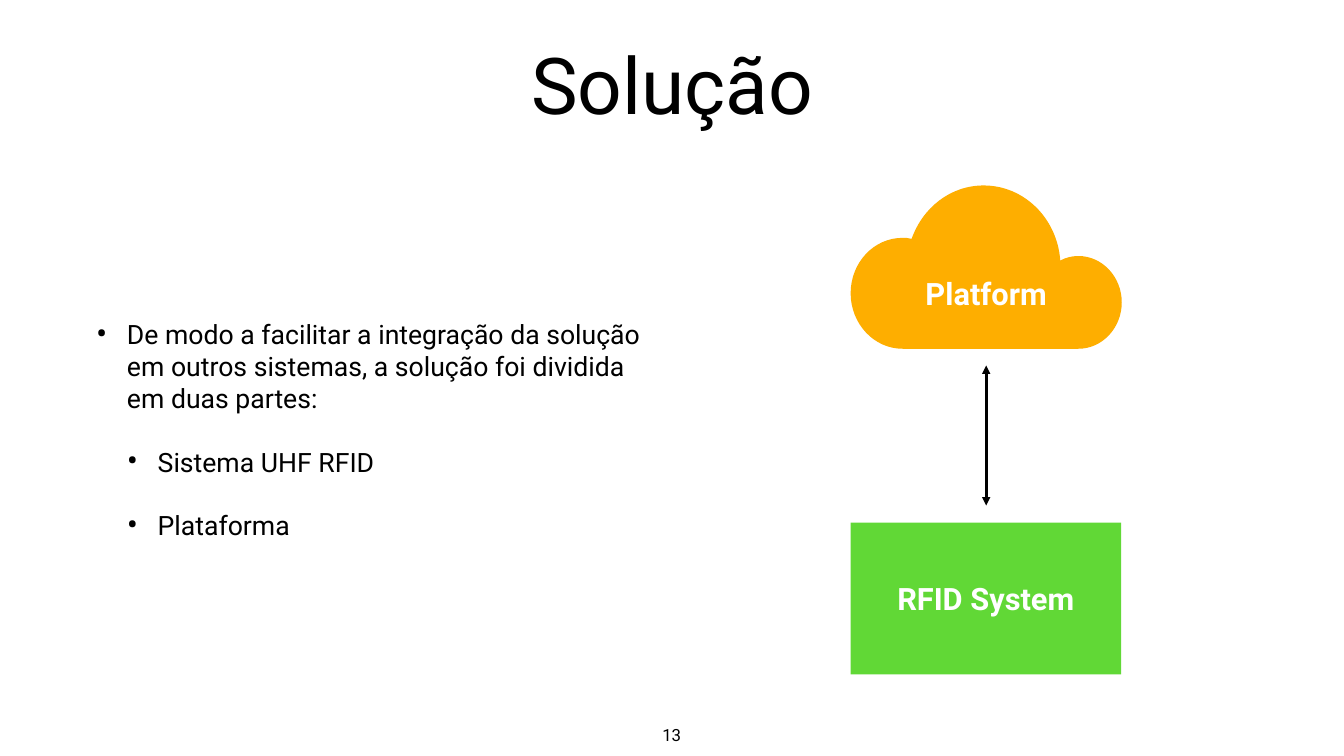
"""Build the "Solução" slide: a bullet list beside a platform and RFID system diagram."""
from lxml.etree import SubElement
from pptx import Presentation
from pptx.dml.color import RGBColor
from pptx.enum.shapes import MSO_CONNECTOR as CONN, MSO_SHAPE as SHAPE
from pptx.enum.text import MSO_ANCHOR as ANCHOR, MSO_AUTO_SIZE as AUTO, PP_ALIGN as ALIGN
from pptx.oxml.ns import qn
from pptx.util import Inches, Pt

TITLE = "Solução"
BULLETS = [
    (0, "De modo a facilitar a integração da solução em outros sistemas, "
        "a solução foi dividida em duas partes:"),
    (1, "Sistema UHF RFID"),
    (1, "Plataforma"),
]
CLOUD_LABEL, SYSTEM_LABEL, PAGE = "Platform", "RFID System", "13"

THEME = {
    "font": "Roboto",
    "text": RGBColor(0x00, 0x00, 0x00),
    "label": RGBColor(0xFF, 0xFF, 0xFF),
    "cloud": RGBColor(0xFE, 0xAE, 0x00),
    "system": RGBColor(0x61, 0xD8, 0x36),
    "title_size": 112, "label_size": 44, "body_size": 38, "page_size": 24,
}
BOXES = {
    "title": (1.85, 0.39, 22.97, 2.5),
    "body": (1.85, 3.44, 11.18, 10.17),
    "cloud_label": (17.23, 5.3, 4.68, 1.04),
    "system": (16.88, 10.37, 5.37, 3.01),
    "page": (13.08, 14.31, 0.5, 0.5),
}
ARROW = (19.57, 7.25, 19.57, 10.03)
INSET, INDENT, BULLET_GAP = 0.06, 0.61, 45
CLOUD_START = (19.52, 3.68)
CLOUD_SEGMENTS = [
    ((18.86, 3.68), (18.31, 4.12), (18.09, 4.74)),
    ((18.03, 4.72), (17.97, 4.72), (17.91, 4.72)),
    ((17.34, 4.72), (16.88, 5.21), (16.88, 5.82)),
    ((16.88, 6.42), (17.34, 6.92), (17.91, 6.92)),
    ((21.4, 6.92),),
    ((21.87, 6.92), (22.26, 6.51), (22.26, 6)),
    ((22.26, 5.49), (21.87, 5.08), (21.4, 5.08)),
    ((21.27, 5.08), (21.15, 5.11), (21.04, 5.17)),
    ((20.98, 4.33), (20.32, 3.68), CLOUD_START),
]


def inches(values):
    return [Inches(v) for v in values]


def set_frame(sp, anchor=ANCHOR.MIDDLE, inset=INSET, wrap=True, auto=AUTO.NONE):
    tf = sp.text_frame
    values = dict.fromkeys(("margin_left", "margin_top", "margin_right", "margin_bottom"),
                           Inches(inset))
    values.update(vertical_anchor=anchor, word_wrap=wrap, auto_size=auto)
    for name, value in values.items():
        setattr(tf, name, value)
    return tf


def write(p, text, size, color="text", bold=False, align=ALIGN.CENTER):
    p.alignment = align
    r = p.add_run()
    r.text = text
    values = {"name": THEME["font"], "size": Pt(THEME[size]), "bold": bold}
    for name, value in values.items():
        setattr(r.font, name, value)
    r.font.color.rgb = THEME[color]


def add_bullet(p, level):
    p.level = level
    pPr = p._p.get_or_add_pPr()
    pPr.set("marL", str(Inches(INDENT * (level + 1))))
    pPr.set("indent", str(-Inches(INDENT)))
    SubElement(pPr, qn("a:buSzPct"), val="125000")
    SubElement(pPr, qn("a:buFont"), typeface=THEME["font"])
    SubElement(pPr, qn("a:buChar"), char="•")


def paint(sp, color):
    sp.shadow.inherit = False
    sp.fill.solid()
    sp.fill.fore_color.rgb = THEME[color]
    sp.line.fill.background()


def add_text(s, box, text, size, color="text", bold=False, **frame):
    sp = s.shapes.add_textbox(*inches(BOXES[box]))
    write(set_frame(sp, **frame).paragraphs[0], text, size, color, bold)


def add_arrow(s):
    line = s.shapes.add_connector(CONN.STRAIGHT, *inches(ARROW))
    line.line.color.rgb = THEME["text"]
    line.line.width = Pt(4)
    ln = line.line._get_or_add_ln()
    for end in ("a:headEnd", "a:tailEnd"):
        SubElement(ln, qn(end), type="triangle")
    SubElement(line._element.spPr, qn("a:effectLst"))


def add_cloud(s):
    outline = s.shapes.build_freeform(*inches(CLOUD_START))
    outline.add_line_segments([inches(seg[-1]) for seg in CLOUD_SEGMENTS], close=True)
    cloud = outline.convert_to_shape()
    paint(cloud, "cloud")
    steps = list(cloud._element.iter(qn("a:lnTo")))
    for step, (*controls, _) in zip(steps, CLOUD_SEGMENTS):
        if controls:
            curve = step.getparent().makeelement(qn("a:cubicBezTo"))
            for x, y in map(inches, controls):
                SubElement(curve, qn("a:pt"), x=str(x - cloud.left), y=str(y - cloud.top))
            step.getparent().replace(step, curve)
            curve.append(step[0])


def add_diagram(s):
    system = s.shapes.add_shape(SHAPE.RECTANGLE, *inches(BOXES["system"]))
    paint(system, "system")
    write(set_frame(system, inset=0).paragraphs[0], SYSTEM_LABEL, "label_size", "label", True)
    add_arrow(s)
    add_cloud(s)
    add_text(s, "cloud_label", CLOUD_LABEL, "label_size", "label", True)


def add_title(s):
    title = s.shapes.title
    for name, value in zip(("left", "top", "width", "height"), inches(BOXES["title"])):
        setattr(title, name, value)
    write(set_frame(title).paragraphs[0], TITLE, "title_size")


def add_body(s):
    tf = set_frame(s.shapes.add_textbox(*inches(BOXES["body"])))
    for i, (level, text) in enumerate(BULLETS):
        p = tf.add_paragraph() if i else tf.paragraphs[0]
        if i:
            p.space_before = Pt(BULLET_GAP)
        add_bullet(p, level)
        write(p, text, "body_size", align=ALIGN.LEFT)


def main():
    prs = Presentation()
    prs.slide_width, prs.slide_height = inches((26.67, 15))
    s = prs.slides.add_slide(prs.slide_layouts[5])
    add_diagram(s)
    add_title(s)
    add_body(s)
    add_text(s, "page", PAGE, "page_size", anchor=ANCHOR.TOP, wrap=False,
             auto=AUTO.SHAPE_TO_FIT_TEXT)
    prs.save("out.pptx")


if __name__ == "__main__":
    main()
